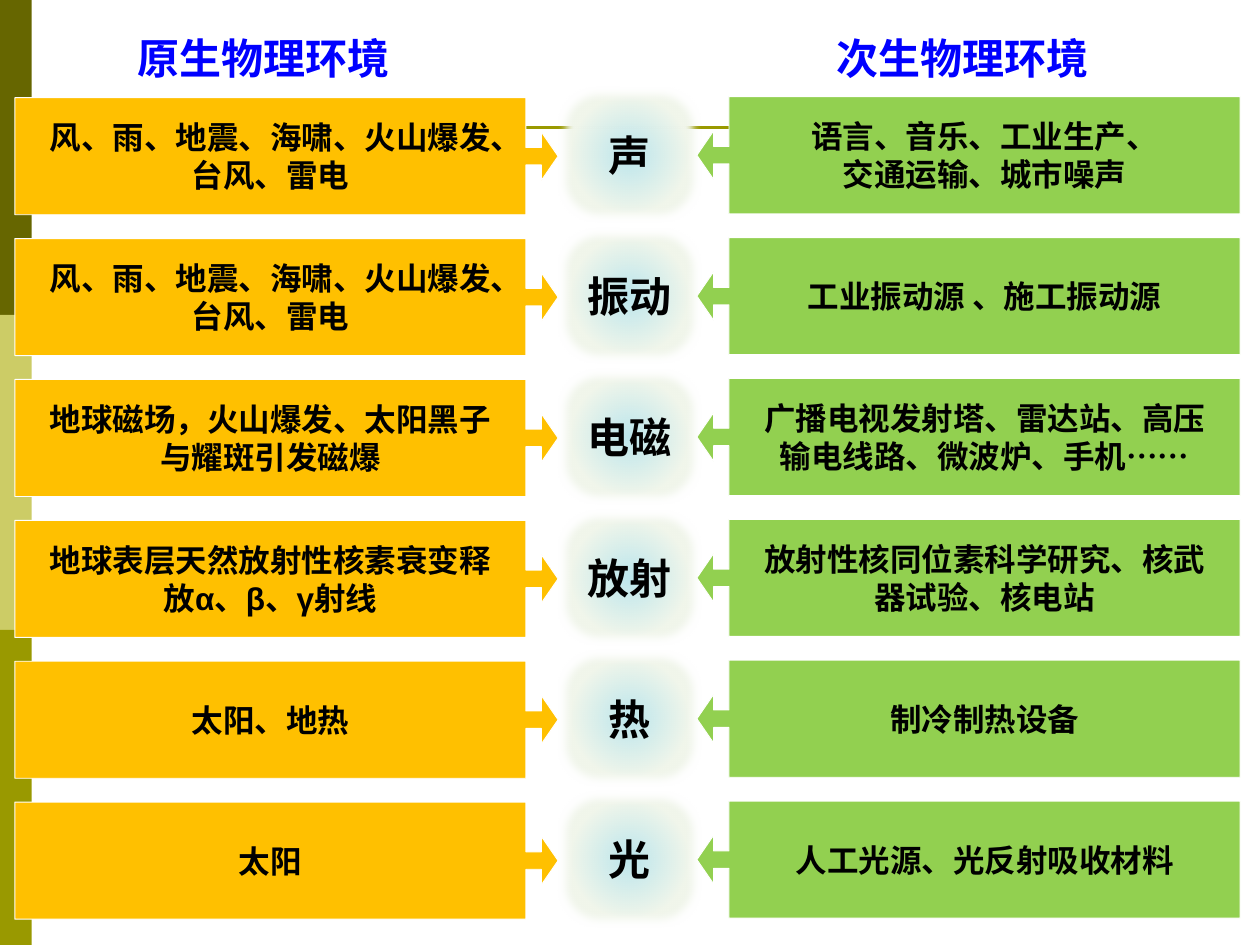
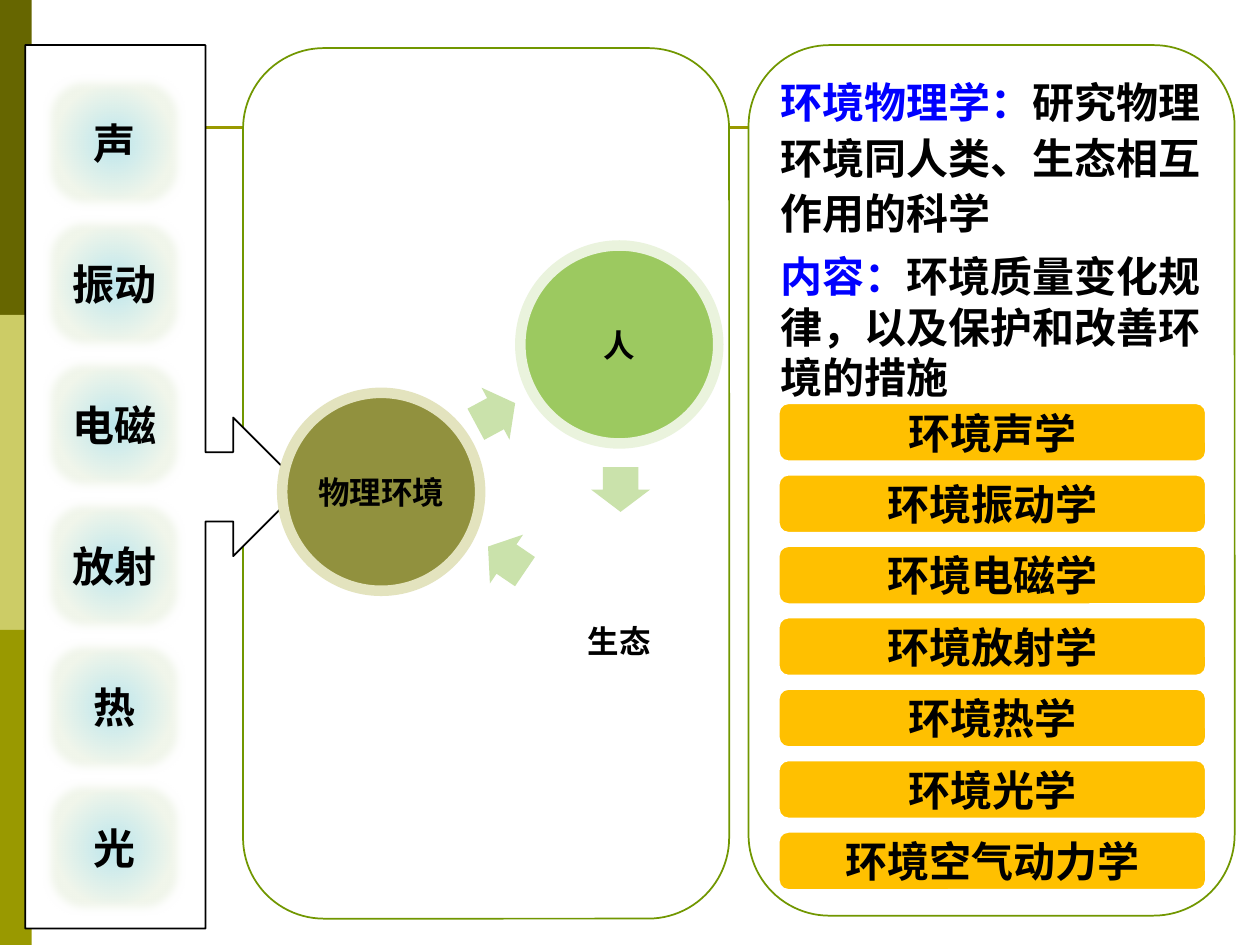
from pptx import Presentation
from pptx.dml.color import RGBColor
from pptx.enum.shapes import MSO_CONNECTOR, MSO_SHAPE as SHAPE
from pptx.enum.text import MSO_ANCHOR as ANCHOR, PP_ALIGN as ALIGN
from pptx.oxml import parse_xml
from pptx.oxml.ns import nsdecls, qn
from pptx.util import Cm, Pt

CJK, LATIN = "Noto Sans CJK SC", "Arial"
BLACK, WHITE, BLUE = "000000", "FFFFFF", "0000FF"
AMBER, GREEN, PANEL_EDGE = "FFC000", "92D050", "719700"
CYCLE_ARROW = "CAE2AB"
SIDE_BANDS = ["666600", "CCCC66", "999900"]
TILE_GLOW, TILE_RIM = "BCE6EC", "F1F6EB"

ROW_PITCH = 2.84
FACTORS = ["声", "振动", "电磁", "放射", "热", "光"]

# Natural sources, then man-made sources: (lines, latin font)
NATURAL = [
    (["风、雨、地震、海啸、火山爆发、台风、雷电"], CJK),
    (["风、雨、地震、海啸、火山爆发、台风、雷电"], CJK),
    (["地球磁场，火山爆发、太阳黑子与耀斑引发磁爆"], LATIN),
    (["地球表层天然放射性核素衰变释放α、β、γ射线"], LATIN),
    (["太阳、地热"], LATIN),
    (["太阳"], LATIN),
]
MAN_MADE = [
    (["语言、音乐、工业生产、", "交通运输、城市噪声"], CJK),
    (["工业振动源 、施工振动源"], CJK),
    (["广播电视发射塔、雷达站、高压", "输电线路、微波炉、手机……"], LATIN),
    (["放射性核同位素科学研究、核武器试验、核电站"], CJK),
    (["制冷制热设备"], CJK),
    (["人工光源、光反射吸收材料"], CJK),
]
BRANCHES = ["环境声学", "环境振动学", "环境电磁学", "环境放射学",
            "环境热学", "环境光学", "环境空气动力学"]


def rgb(value):
    return RGBColor.from_string(value)


def add_run(paragraph, text, size, color=BLACK, font=CJK):
    run = paragraph.add_run()
    run.text = text
    run.font.name = font
    run.font.size = Pt(size)
    run.font.bold = True
    run.font.color.rgb = rgb(color)
    east_asian = parse_xml(f'<a:ea {nsdecls("a")} typeface="{CJK}"/>')
    run.font._element.find(qn("a:latin")).addnext(east_asian)


def write_lines(shape, lines, size, font=CJK, inset=0, wrap=True):
    """Centre the lines in the middle of a shape."""
    frame = shape.text_frame
    frame.word_wrap = wrap
    frame.vertical_anchor = ANCHOR.MIDDLE
    frame.margin_left = frame.margin_right = Cm(inset)
    frame.margin_top = frame.margin_bottom = 0
    for i, line in enumerate(lines):
        paragraph = frame.add_paragraph() if i else frame.paragraphs[0]
        paragraph.alignment = ALIGN.CENTER
        add_run(paragraph, line, size)
        paragraph.runs[0].font.name = font


def add_block(slide, kind, box, fill, edge=None, width=1, adjust=()):
    shape = slide.shapes.add_shape(kind, *map(Cm, box))
    shape.shadow.inherit = False
    shape.fill.solid()
    shape.fill.fore_color.rgb = rgb(fill)
    if edge:
        shape.line.color.rgb = rgb(edge)
        shape.line.width = Pt(width)
    else:
        shape.line.fill.background()
    for i, value in enumerate(adjust):
        shape.adjustments[i] = value
    return shape


def add_text(slide, box, runs, align=ALIGN.LEFT, spacing=None):
    frame = slide.shapes.add_textbox(*map(Cm, box)).text_frame
    frame.word_wrap = True
    paragraph = frame.paragraphs[0]
    paragraph.alignment = align
    paragraph.line_spacing = spacing
    for text, color in runs:
        add_run(paragraph, text, 24, color)


def add_backdrop(slide):
    for i, color in enumerate(SIDE_BANDS):
        add_block(slide, SHAPE.RECTANGLE, (0, i * 6.35, 0.64, 6.35), color)
    rule = slide.shapes.add_connector(
        MSO_CONNECTOR.STRAIGHT, Cm(1.27), Cm(2.57), Cm(23.7), Cm(2.57))
    rule.line.color.rgb = rgb("999900")
    rule.line.width = Pt(1.5)
    rule._element.spPr.append(parse_xml(f'<a:effectLst {nsdecls("a")}/>'))


def add_tile(slide, center_x, center_y, factor):
    """Soft-edged tile that glows from its middle."""
    width, height = 2.9, 2.75
    tile = add_block(slide, SHAPE.ROUNDED_RECTANGLE,
                     (center_x - width / 2, center_y - height / 2, width, height),
                     TILE_RIM, adjust=[0.25])
    props = tile._element.spPr
    stops = "".join(
        f'<a:gs pos="{pos}"><a:srgbClr val="{color}"/></a:gs>'
        for pos, color in [(0, TILE_GLOW), (60000, TILE_RIM), (100000, TILE_RIM)])
    props.replace(props.find(qn("a:solidFill")), parse_xml(
        f'<a:gradFill {nsdecls("a")}><a:gsLst>{stops}</a:gsLst><a:path path="circle">'
        '<a:fillToRect l="50000" t="50000" r="50000" b="50000"/></a:path></a:gradFill>'))
    props.find(qn("a:effectLst")).append(
        parse_xml(f'<a:softEdge {nsdecls("a")} rad="63500"/>'))
    write_lines(tile, [factor], 24)


def add_factor_column(slide, center_x, first_y):
    for i, factor in enumerate(FACTORS):
        add_tile(slide, center_x, first_y + i * ROW_PITCH, factor)


def add_source_column(slide, kind, left, top, fill, sources):
    for i, (lines, font) in enumerate(sources):
        callout = add_block(slide, kind, (left, top + i * ROW_PITCH, 10.95, 2.36),
                            fill, WHITE, 0.5, [0.149, 0.206, 0.142, 0.941])
        write_lines(callout, lines, 18, font, inset=0.6)


def add_cycle(slide):
    for name, left, top, fill, ring in [
            ("人", 10.49, 4.95, "9CC960", "EAF3DD"),
            ("生态", 10.49, 10.92, WHITE, WHITE),
            ("物理环境", 5.69, 7.92, "91913E", "E3E3BE")]:
        circle = add_block(slide, SHAPE.OVAL, (left, top, 3.99, 3.99), fill, ring, 6)
        write_lines(circle, [name], 18)
    length, breadth = 0.9, 1.19
    for x, y, angle in [(12.51, 9.87, 90), (10.21, 11.27, 214.2), (9.99, 8.34, 331.7)]:
        arrow = add_block(slide, SHAPE.RIGHT_ARROW,
                          (x - length / 2, y - breadth / 2, length, breadth),
                          CYCLE_ARROW, adjust=[0.6, 0.5])
        arrow.rotation = angle


def build_sources_slide(slide):
    add_backdrop(slide)
    for left, heading in [(2.31, "原生物理环境"), (16.41, "次生物理环境")]:
        add_text(slide, (left, 0.53, 5.99, 1.27), [(heading, BLUE)], ALIGN.CENTER)
    add_factor_column(slide, 12.7, 3.12)
    add_source_column(slide, SHAPE.RIGHT_ARROW_CALLOUT, 0.3, 1.97, AMBER, NATURAL)
    add_source_column(slide, SHAPE.LEFT_ARROW_CALLOUT, 14.05, 1.95, GREEN, MAN_MADE)


def build_discipline_slide(slide):
    add_backdrop(slide)

    # Factors feeding the cycle
    add_block(slide, SHAPE.ROUNDED_RECTANGLE, (4.9, 0.97, 9.8, 17.55), WHITE, PANEL_EDGE)
    add_block(slide, SHAPE.RIGHT_ARROW_CALLOUT, (0.51, 0.91, 5.59, 17.81), WHITE, BLACK)
    add_cycle(slide)
    add_factor_column(slide, 2.3, 2.88)

    # Definition and branches
    add_block(slide, SHAPE.ROUNDED_RECTANGLE, (15.09, 0.91, 9.8, 17.55), WHITE, PANEL_EDGE)
    add_text(slide, (15.49, 1.32, 9.4, 4.67),
             [("环境物理学：", BLUE), ("研究物理环境同人类、生态相互作用的科学", BLACK)],
             spacing=1.1)
    add_text(slide, (15.49, 4.93, 9.4, 3.33),
             [("内容：", BLUE), ("环境质量变化规律，以及保护和改善环境的措施", BLACK)])
    for i, branch in enumerate(BRANCHES):
        bar = add_block(slide, SHAPE.ROUNDED_RECTANGLE, (15.7, 8.13 + i * 1.44, 8.61, 1.17),
                        AMBER, WHITE, 1, [0.167])
        write_lines(bar, [branch], 24, wrap=False)


def main():
    deck = Presentation()
    deck.slide_width, deck.slide_height = Cm(25.4), Cm(19.05)
    blank = deck.slide_layouts[6]
    build_sources_slide(deck.slides.add_slide(blank))
    build_discipline_slide(deck.slides.add_slide(blank))
    deck.save("out.pptx")


if __name__ == "__main__":
    main()
